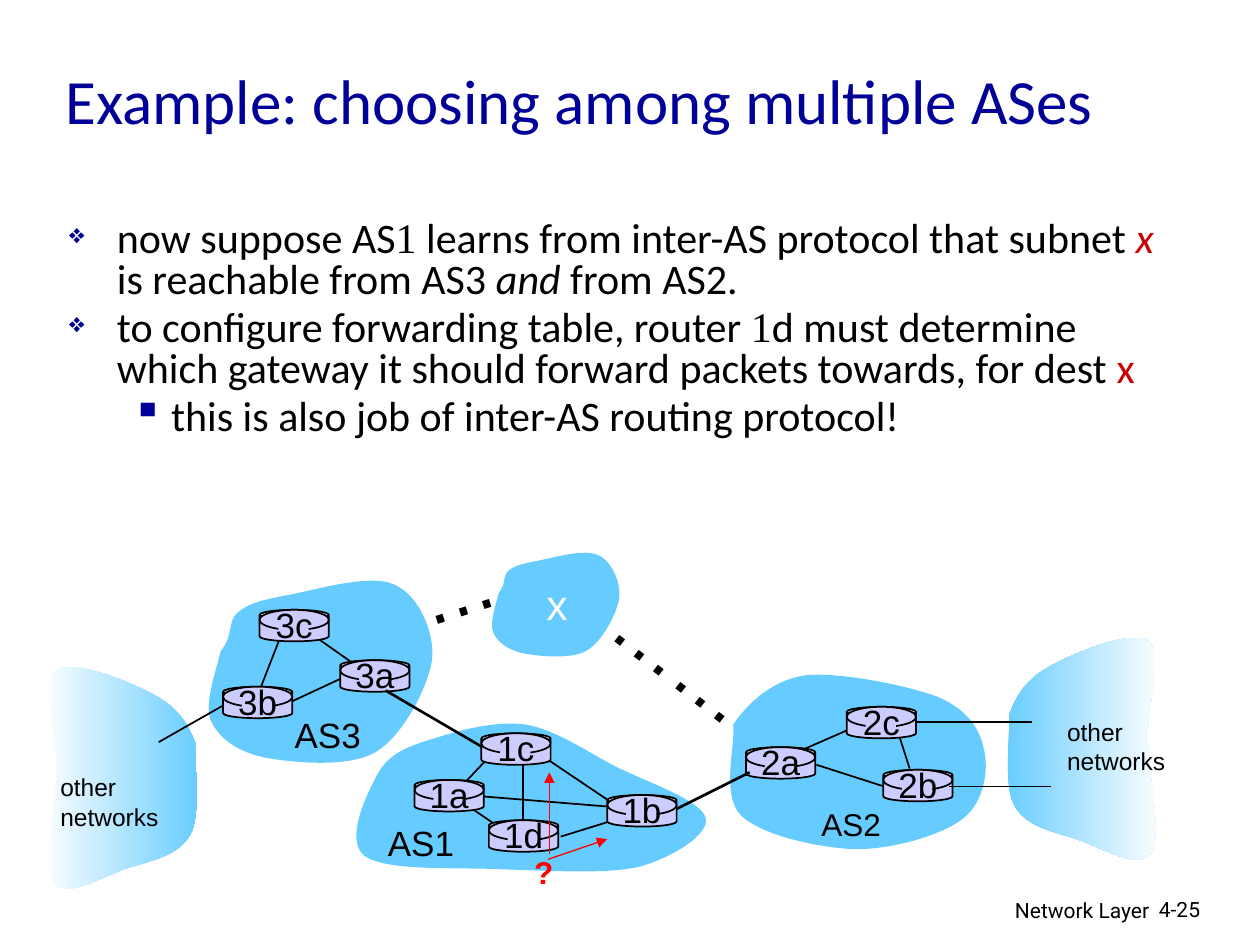
from dataclasses import dataclass
from typing import NamedTuple

from lxml import etree
from pptx import Presentation
from pptx import util as u
from pptx.dml.color import RGBColor
from pptx.enum import shapes, text
from pptx.oxml.ns import qn

BLACK, WHITE, NAVY, RED = "000000", "FFFFFF", "000099", "CC0000"
SKY, LILAC, ALERT = "66CCFF", "CCCCFF", "FF0000"


class Point(NamedTuple):
    x: float
    y: float


class Link(NamedTuple):
    start: Point
    end: Point
    width: float = 1
    color: str = BLACK
    arrow: bool = False


class Span(NamedTuple):
    words: str
    font: str = "Calibri"
    color: str = BLACK
    italic: bool = False


@dataclass
class Label:
    words: str
    left: float
    top: float
    width: float
    height: float
    size: float
    font: str = "Arial"
    color: str = BLACK
    bold: bool = False
    align: text.PP_ALIGN = text.PP_ALIGN.LEFT
    anchor: text.MSO_ANCHOR = text.MSO_ANCHOR.TOP
    wrap: bool = False
    rotation: float = 0


def inch(value: float) -> u.Length:
    return u.Cm(value * 2.54)


def rgb(value: str) -> RGBColor:
    return RGBColor.from_string(value)


def points(*numbers: float) -> list[Point]:
    return [Point(x, y) for x, y in zip(numbers[::2], numbers[1::2])]


def transform(outline: list[Point], scale: Point, shift: Point) -> list[Point]:
    return [Point(p.x * scale.x + shift.x, p.y * scale.y + shift.y) for p in outline]


def draw_link(page, link: Link) -> None:
    line = page.shapes.add_connector(
        shapes.MSO_CONNECTOR.STRAIGHT, *map(inch, (*link.start, *link.end)))
    line.line.width = u.Pt(link.width)
    line.line.color.rgb = rgb(link.color)
    properties = line._element.spPr
    if link.arrow:
        etree.SubElement(properties.find(qn("a:ln")), qn("a:tailEnd"), type="triangle")
    etree.SubElement(properties, qn("a:effectLst"))


def draw_label(page, label: Label) -> None:
    box = page.shapes.add_textbox(
        *map(inch, (label.left, label.top, label.width, label.height)))
    box.rotation = label.rotation
    frame = box.text_frame
    frame.word_wrap = label.wrap
    frame.vertical_anchor = label.anchor
    if not label.wrap:
        frame.auto_size = text.MSO_AUTO_SIZE.SHAPE_TO_FIT_TEXT
    frame.text = label.words
    for para in frame.paragraphs:
        para.alignment = label.align
        para.font.size = u.Pt(label.size)
        para.font.name = label.font
        para.font.bold = label.bold
        para.font.color.rgb = rgb(label.color)


def draw_cloud(page, outline: list[Point], gradient: tuple[str, ...] = ()) -> None:
    """Outline is a start point followed by three points per Bézier curve."""
    start, *rest = [(inch(p.x), inch(p.y)) for p in outline]
    builder = page.shapes.build_freeform(*start)
    builder.add_line_segments(rest, close=True)
    cloud = builder.convert_to_shape()
    segments = list(cloud._element.iter(qn("a:lnTo")))
    for i in range(0, len(rest), 3):
        curve = etree.Element(qn("a:cubicBezTo"))
        segments[i].addprevious(curve)
        for segment in segments[i:i + 3]:
            curve.append(segment[0])
            segment.getparent().remove(segment)
    cloud.shadow.inherit = False
    cloud.line.fill.background()
    if gradient:
        cloud.fill.gradient()
        cloud.fill.gradient_angle = 0
        for stop, shade in zip(cloud.fill.gradient_stops, gradient):
            stop.color.rgb = rgb(shade)
    else:
        cloud.fill.solid()
        cloud.fill.fore_color.rgb = rgb(SKY)


def draw_router(page, name: str, left: float, top: float) -> None:
    """A flat cylinder whose label covers the middle of its lid."""
    kinds = shapes.MSO_SHAPE
    for kind, x, y, width, height in ((kinds.CAN, 0, 0, 0.55, 0.25),
                                      (kinds.OVAL, 0, 0, 0.55, 0.16),
                                      (kinds.RECTANGLE, 0.15, 0.02, 0.24, 0.21)):
        part = page.shapes.add_shape(kind, *map(inch, (left + x, top + y, width, height)))
        part.shadow.inherit = False
        part.fill.solid()
        part.fill.fore_color.rgb = rgb(LILAC)
        if kind == kinds.RECTANGLE:
            part.line.fill.background()
        else:
            part.line.color.rgb = rgb(BLACK)
            part.line.width = u.Pt(1)
        if kind == kinds.CAN:
            part.adjustments[0] = 0.32
    draw_label(page, Label(name, left + 0.02, top - 0.1, 0.51, 0.43, 20,
                           align=text.PP_ALIGN.CENTER))


def draw_bullets(page) -> None:
    items = [
        (0, "❖", [Span("now suppose AS"), Span("1", "Times New Roman"),
                  Span(" learns from inter-AS protocol that subnet "),
                  Span("x", color=RED, italic=True), Span(" is reachable from AS3 "),
                  Span("and", italic=True), Span(" from AS2.")]),
        (0, "❖", [Span("to configure forwarding table, router "), Span("1", "Times New Roman"),
                  Span("d must determine which gateway it should forward packets towards, "
                       "for dest "), Span("x", color=RED)]),
        (1, "▪", [Span("this is also job of inter-AS routing protocol!")]),
    ]
    indents = [(0.38, -0.38, "65000"), (0.81, -0.31, "100000")]
    frame = page.shapes.add_textbox(*map(inch, (0.45, 1.71, 8.9, 3.01))).text_frame
    frame.word_wrap = True
    for i, (level, mark, spans) in enumerate(items):
        para = frame.add_paragraph() if i else frame.paragraphs[0]
        para.level = level
        para.line_spacing = 0.8
        if i:
            para.space_before = u.Pt(4.8)
        margin, hanging, size = indents[level]
        properties = para._p.get_or_add_pPr()
        properties.set("marL", str(inch(margin)))
        properties.set("indent", str(inch(hanging)))
        shade = etree.SubElement(properties, qn("a:buClr"))
        etree.SubElement(shade, qn("a:srgbClr"), val=NAVY)
        etree.SubElement(properties, qn("a:buSzPct"), val=size)
        etree.SubElement(properties, qn("a:buChar"), char=mark)
        para.font.size = u.Pt(24)
        for span in spans:
            run = para.add_run()
            run.text = span.words
            run.font.name = span.font
            run.font.italic = span.italic
            run.font.color.rgb = rgb(span.color)


OTHER = points(8.01, 5.67, 8.07, 5.51, 8.15, 5.39, 8.33, 5.29, 8.51, 5.19, 8.98, 4.99, 9.11, 5.09,
               9.24, 5.18, 9.1, 5.59, 9.11, 5.87, 9.11, 6.16, 9.23, 6.65, 9.13, 6.78,
               9.04, 6.91, 8.73, 6.72, 8.55, 6.66, 8.36, 6.6, 8.14, 6.56, 8.05, 6.39,
               7.96, 6.23, 8.02, 5.82, 8.01, 5.67)
AS1 = points(3.01, 6.12, 3.11, 5.96, 3.28, 5.91, 3.48, 5.85, 3.67, 5.79, 3.94, 5.72, 4.17, 5.75,
             4.4, 5.79, 4.62, 5.94, 4.86, 6.07, 5.09, 6.19, 5.57, 6.35, 5.6, 6.49,
             5.64, 6.62, 5.33, 6.81, 5.07, 6.88, 4.8, 6.94, 4.36, 6.91, 4, 6.9,
             3.64, 6.88, 3.06, 6.92, 2.89, 6.79, 2.73, 6.66, 2.92, 6.28, 3.01, 6.12)
AS2 = points(5.82, 5.75, 5.93, 5.59, 6.12, 5.4, 6.39, 5.36, 6.66, 5.33, 7.2, 5.44, 7.44, 5.53,
             7.68, 5.63, 7.78, 5.79, 7.81, 5.95, 7.85, 6.11, 7.81, 6.37, 7.64, 6.5,
             7.47, 6.63, 7.09, 6.74, 6.79, 6.74, 6.5, 6.73, 6.04, 6.63, 5.88, 6.47,
             5.72, 6.31, 5.84, 5.9, 5.82, 5.75)
AS3 = points(1.75, 5.17, 1.86, 5.04, 1.8, 4.93, 1.89, 4.86, 1.98, 4.78, 2.1, 4.76, 2.3, 4.72,
             2.51, 4.68, 2.94, 4.55, 3.13, 4.64, 3.32, 4.72, 3.45, 5.01, 3.43, 5.23,
             3.4, 5.45, 3.2, 5.84, 2.98, 5.97, 2.76, 6.1, 2.3, 6.05, 2.09, 6.01,
             1.87, 5.96, 1.73, 5.85, 1.67, 5.71, 1.62, 5.57, 1.73, 5.28, 1.75, 5.17)
INNER_LINKS = [
    (2.31, 5.57, 2.74, 5.37), (2.81, 5.27, 2.54, 5.08), (2.22, 5.07, 2.06, 5.48),
    (3.87, 6.02, 3.7, 6.2), (4.15, 6.06, 4.15, 6.56), (4.32, 6.01, 4.87, 6.38),
    (4.87, 6.51, 4.45, 6.64), (4.81, 6.4, 3.82, 6.32), (3.72, 6.4, 3.94, 6.55),
    (6.28, 5.99, 6.76, 5.78), (6.48, 6.07, 7.01, 6.24), (7.14, 5.85, 7.22, 6.1),
    (1.77, 5.6, 1.26, 5.89)]
ROUTERS = {"3b": (1.77, 5.45), "3c": (2.06, 4.84), "3a": (2.7, 5.24), "1c": (3.82, 5.82),
           "1a": (3.29, 6.19), "1d": (3.88, 6.51), "1b": (4.82, 6.31), "2a": (5.92, 5.93),
           "2c": (6.72, 5.61), "2b": (7.01, 6.11)}
OUTER_LINKS = [
    Link(Point(7.26, 5.73), Point(8.19, 5.73), 0.75),
    Link(Point(7.53, 6.24), Point(8.34, 6.24), 0.75),
    Link(Point(5.37, 6.42), Point(5.95, 6.13), 1.5),
    Link(Point(3.06, 5.48), Point(3.83, 5.93), 1.5),
    Link(Point(4.35, 6.82), Point(4.82, 6.66), 0.75, ALERT, True),
    Link(Point(4.36, 6.78), Point(4.36, 6.13), 0.75, ALERT, True)]
LABELS = [
    Label("Network Layer", 6.05, 7.07, 3.17, 0.31, 12, "Roboto",
          align=text.PP_ALIGN.RIGHT, wrap=True),
    Label("4-25", 9.1, 7.07, 0.74, 0.3, 12, "Roboto", wrap=True),
    Label("Example: choosing among multiple ASes", 0.42, 0.27, 9.59, 1.04, 36, "Calibri", NAVY,
          anchor=text.MSO_ANCHOR.MIDDLE, wrap=True),
    Label("AS3", 2.24, 5.61, 0.73, 0.43, 20), Label("AS2", 6.42, 6.34, 0.67, 0.4, 18),
    Label("AS1", 2.98, 6.47, 0.73, 0.43, 20), Label("x", 4.24, 4.54, 0.37, 0.5, 24, color=WHITE),
    Label("other\nnetworks", 8.37, 5.64, 0.98, 0.57, 14),
    Label("other\nnetworks", 0.38, 6.08, 0.98, 0.57, 14),
    Label("……", 4.74, 4.81, 1.42, 0.83, 44, rotation=37.7),
    Label("…", 3.21, 4.24, 0.81, 0.83, 44, rotation=342.3),
    Label("?", 4.14, 6.72, 0.35, 0.4, 18, color=ALERT, bold=True)]


def main() -> None:
    deck = Presentation()
    deck.slide_width, deck.slide_height = inch(10), inch(7.5)
    page = deck.slides.add_slide(deck.slide_layouts[6])
    draw_bullets(page)
    draw_cloud(page, OTHER, (SKY, WHITE))
    draw_cloud(page, transform(OTHER, Point(-1, 1), Point(9.56, 0.23)), (WHITE, SKY))
    for outline in (AS2, AS3, AS1, transform(AS3, Point(0.57, 0.57), Point(2.96, 1.76))):
        draw_cloud(page, outline)
    for ends in INNER_LINKS:
        draw_link(page, Link(*points(*ends)))
    for name, corner in ROUTERS.items():
        draw_router(page, name, *corner)
    for link in OUTER_LINKS:
        draw_link(page, link)
    for label in LABELS:
        draw_label(page, label)
    deck.save("out.pptx")


if __name__ == "__main__":
    main()
